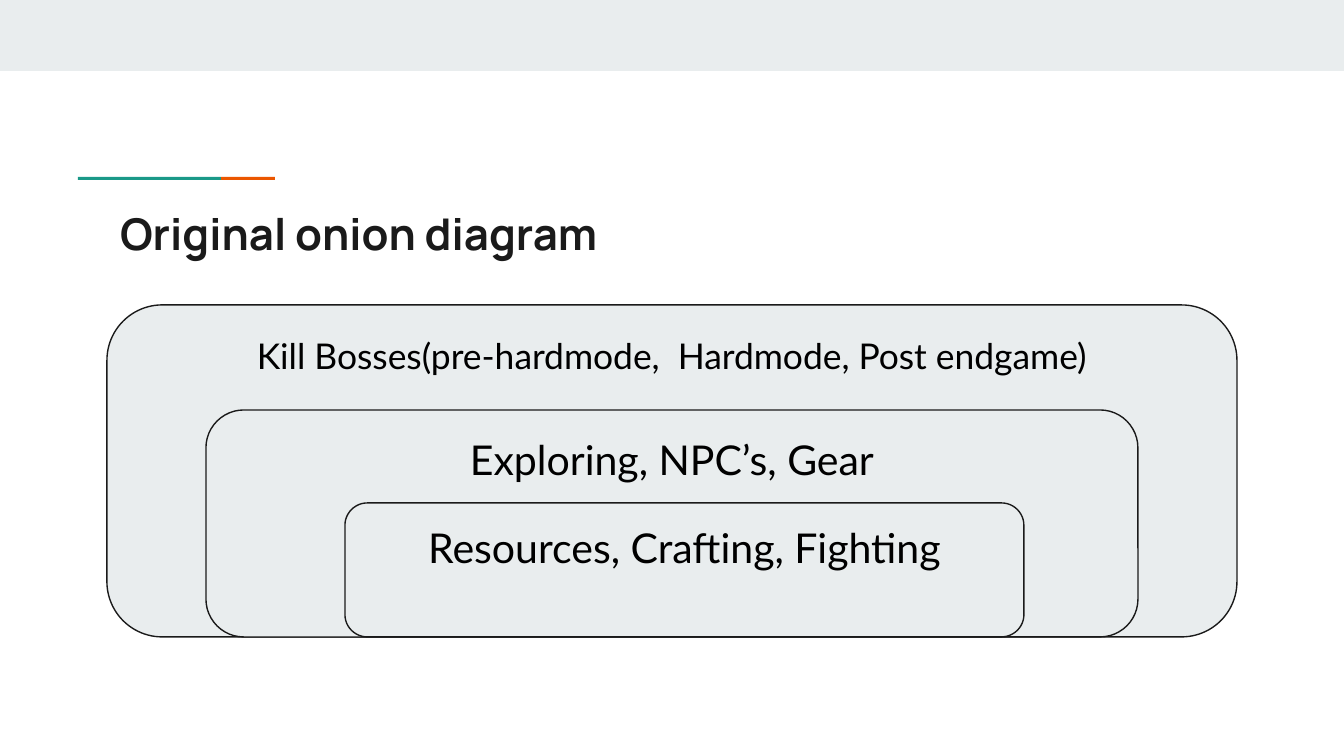
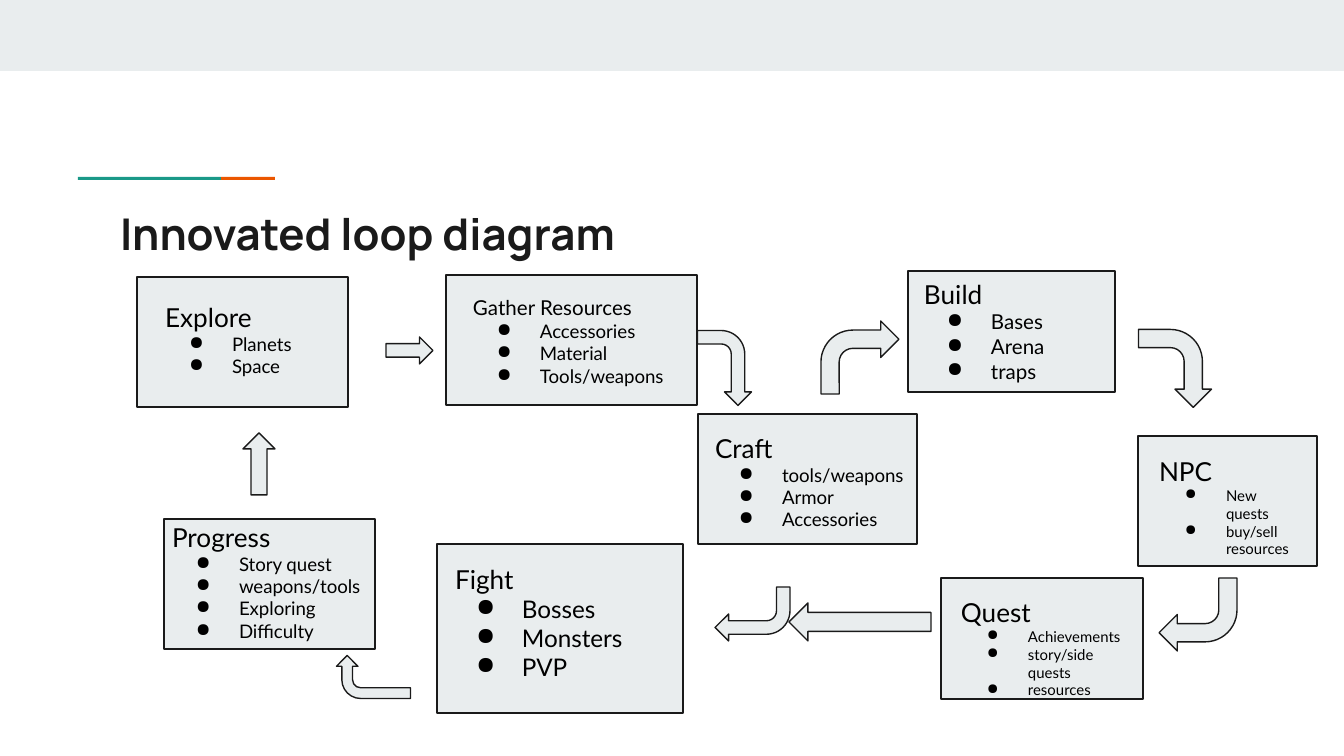
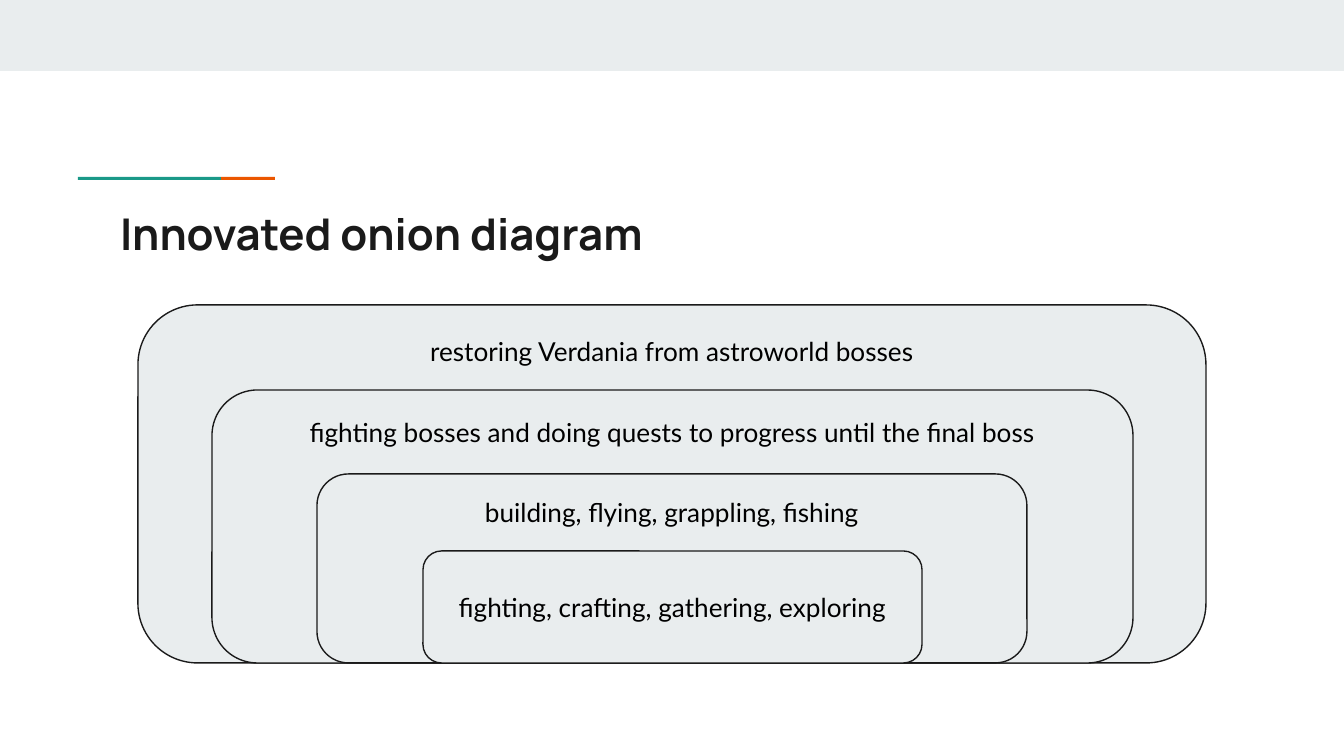
from dataclasses import dataclass

from lxml import etree
from pptx import Presentation
from pptx import util as u
from pptx.dml.color import RGBColor
from pptx.enum import shapes, text
from pptx.oxml import ns

SHAPE = shapes.MSO_SHAPE
TOP = text.MSO_ANCHOR.TOP
MIDDLE = text.MSO_ANCHOR.MIDDLE


@dataclass(frozen=True)
class Theme:
    panel: RGBColor = RGBColor.from_string("E9EDEE")
    ink: RGBColor = RGBColor.from_string("1A1A1A")
    body: RGBColor = RGBColor.from_string("000000")
    teal: RGBColor = RGBColor.from_string("1A9988")
    orange: RGBColor = RGBColor.from_string("EB5600")
    title_font: str = "Manrope"
    body_font: str = "Lato"
    title_size: float = 23.4
    goal_size: int = 19
    layer_size: int = 22
    head_size: int = 14
    item_size: int = 10
    outline: float = 0.75


THEME = Theme()
PX_PER_INCH = 134.4
SLIDE_WIDTH, SLIDE_HEIGHT = 1344, 756
INSET = 13
ITEM_INDENT = 67


def px(length):
    return u.Emu(round(length * u.Inches(1) / PX_PER_INCH))


def place(frame):
    return [px(length) for length in frame]


# Elements

def set_frame(frame, anchor=TOP):
    frame.word_wrap = True
    frame.auto_size = text.MSO_AUTO_SIZE.NONE
    frame.vertical_anchor = anchor
    frame.margin_left = frame.margin_right = px(INSET)
    frame.margin_top = frame.margin_bottom = px(INSET)


def set_font(paragraph, size, name=THEME.body_font, color=THEME.body, bold=False):
    font = paragraph.font
    font.name, font.size, font.bold = name, u.Pt(size), bold
    font.color.rgb = color


def add_panel(slide, kind, frame, fill=THEME.panel, outlined=True, rotation=0):
    panel = slide.shapes.add_shape(kind, *place(frame))
    panel.shadow.inherit = False
    panel.fill.solid()
    panel.fill.fore_color.rgb = fill
    panel.rotation = rotation
    if outlined:
        panel.line.color.rgb = THEME.ink
        panel.line.width = u.Pt(THEME.outline)
    else:
        panel.line.fill.background()
    return panel


def add_bullet(paragraph, size):
    hanging = round(34 + size * 14 / 15)
    props = paragraph._p.get_or_add_pPr()
    props.set("marL", str(px(ITEM_INDENT)))
    props.set("indent", str(-px(hanging)))
    color = etree.SubElement(props, ns.qn("a:buClr"))
    etree.SubElement(color, ns.qn("a:srgbClr")).set("val", str(THEME.body))
    etree.SubElement(props, ns.qn("a:buChar")).set("char", "●")


def add_list(slide, frame, heading, items, head_size, item_size):
    box = slide.shapes.add_textbox(*place(frame)).text_frame
    set_frame(box)
    box.paragraphs[0].text = heading
    set_font(box.paragraphs[0], head_size)
    for item in items:
        paragraph = box.add_paragraph()
        paragraph.text = item
        add_bullet(paragraph, item_size)
        set_font(paragraph, item_size)


def add_onion(slide, bottom, layers):
    """Nest rounded layers that all rest on the same bottom edge."""
    for left, top, width, label, size, anchor in layers:
        layer = add_panel(slide, SHAPE.ROUNDED_RECTANGLE,
                          (left, top, width, bottom - top))
        set_frame(layer.text_frame, anchor)
        paragraph = layer.text_frame.paragraphs[0]
        paragraph.text = label
        paragraph.alignment = text.PP_ALIGN.CENTER
        set_font(paragraph, size)


def add_titled_slide(deck, heading):
    slide = deck.slides.add_slide(deck.slide_layouts[5])
    # Top band and two-colour accent
    for frame, fill in (((0, 0, SLIDE_WIDTH, 71), THEME.panel),
                        ((78, 177, 143, 3), THEME.teal),
                        ((221, 177, 54, 3), THEME.orange)):
        add_panel(slide, SHAPE.RECTANGLE, frame, fill, outlined=False)
    title = slide.shapes.title
    title.left, title.top, title.width, title.height = place((107, 194, 1130, 79))
    set_frame(title.text_frame, MIDDLE)
    paragraph = title.text_frame.paragraphs[0]
    paragraph.text = heading
    paragraph.alignment = text.PP_ALIGN.LEFT
    set_font(paragraph, THEME.title_size, THEME.title_font, THEME.ink, bold=True)
    return slide


# Slides

def build_first_onion(deck):
    slide = add_titled_slide(deck, "Original onion diagram")
    add_onion(slide, 637, [
        (107, 305, 1130, "Kill Bosses(pre-hardmode,  Hardmode, Post endgame)",
         THEME.goal_size, TOP),
        (206, 410, 932, "Exploring, NPC’s, Gear", THEME.layer_size, TOP),
        (345, 503, 679, "Resources, Crafting, Fighting", THEME.layer_size, TOP),
    ])


def build_loop(deck):
    slide = add_titled_slide(deck, "Innovated loop diagram")
    head, item = THEME.head_size, THEME.item_size

    # Stages: panel, list frame, heading, items, heading size, item size
    stages = [
        ((446, 275, 251, 130), (460, 282, 233, 117), "Gather Resources",
         ["Accessories", "Material", "Tools/weapons"], 11, item),
        ((698, 414, 219, 130), (702, 419, 219, 117), "Craft",
         ["tools/weapons", "Armor", "Accessories"], head, item),
        ((137, 277, 211, 130), (152, 288, 179, 106), "Explore",
         ["Planets", "Space"], head, item),
        ((437, 544, 246, 169), (442, 550, 233, 164), "Fight",
         ["Bosses", "Monsters", "PVP"], head, 13),
        ((908, 271, 207, 121), (911, 265, 202, 133), "Build",
         ["Bases", "Arena", "traps"], head, 11),
        ((1138, 436, 179, 130), (1146, 442, 170, 121), "NPC",
         ["New quests", "buy/sell resources"], head, 8),
        ((941, 578, 202, 121), (948, 583, 191, 117), "Quest",
         ["Achievements", "story/side quests", "resources"], head, 8),
        ((164, 519, 211, 130), (159, 508, 228, 133), "Progress",
         ["Story quest", "weapons/tools", "Exploring", "Difficulty"], head, item),
    ]
    for panel, *content in stages:
        add_panel(slide, SHAPE.RECTANGLE, panel)
        add_list(slide, *content)

    # Arrows between the stages
    arrows = [
        (SHAPE.BENT_ARROW, (687, 341, 75, 54), 90),
        (SHAPE.BENT_ARROW, (715, 587, 75, 54), 180),
        (SHAPE.LEFT_ARROW, (789, 603, 142, 38), 0),
        (SHAPE.LEFT_ARROW, (228, 448, 62, 32), 90),
        (SHAPE.BENT_ARROW, (1136, 332, 78, 73), 90),
        (SHAPE.BENT_ARROW, (1159, 578, 78, 73), 180),
        (SHAPE.BENT_ARROW, (821, 321, 78, 73), 0),
        (SHAPE.BENT_ARROW, (352, 640, 43, 74), 270),
        (SHAPE.RIGHT_ARROW, (386, 337, 47, 27), 0),
    ]
    for kind, frame, rotation in arrows:
        add_panel(slide, kind, frame, rotation=rotation)


def build_second_onion(deck):
    slide = add_titled_slide(deck, "Innovated onion diagram")
    size = THEME.head_size
    add_onion(slide, 663, [
        (138, 305, 1068, "restoring Verdania from astroworld bosses", size, TOP),
        (212, 390, 921,
         "fighting bosses and doing quests to progress until the final boss",
         size, TOP),
        (317, 474, 710, "building, flying, grappling, fishing", size, TOP),
        (423, 551, 499, "fighting, crafting, gathering, exploring", size, MIDDLE),
    ])


def main():
    deck = Presentation()
    deck.slide_width, deck.slide_height = px(SLIDE_WIDTH), px(SLIDE_HEIGHT)
    build_first_onion(deck)
    build_loop(deck)
    build_second_onion(deck)
    deck.save("out.pptx")


if __name__ == "__main__":
    main()
